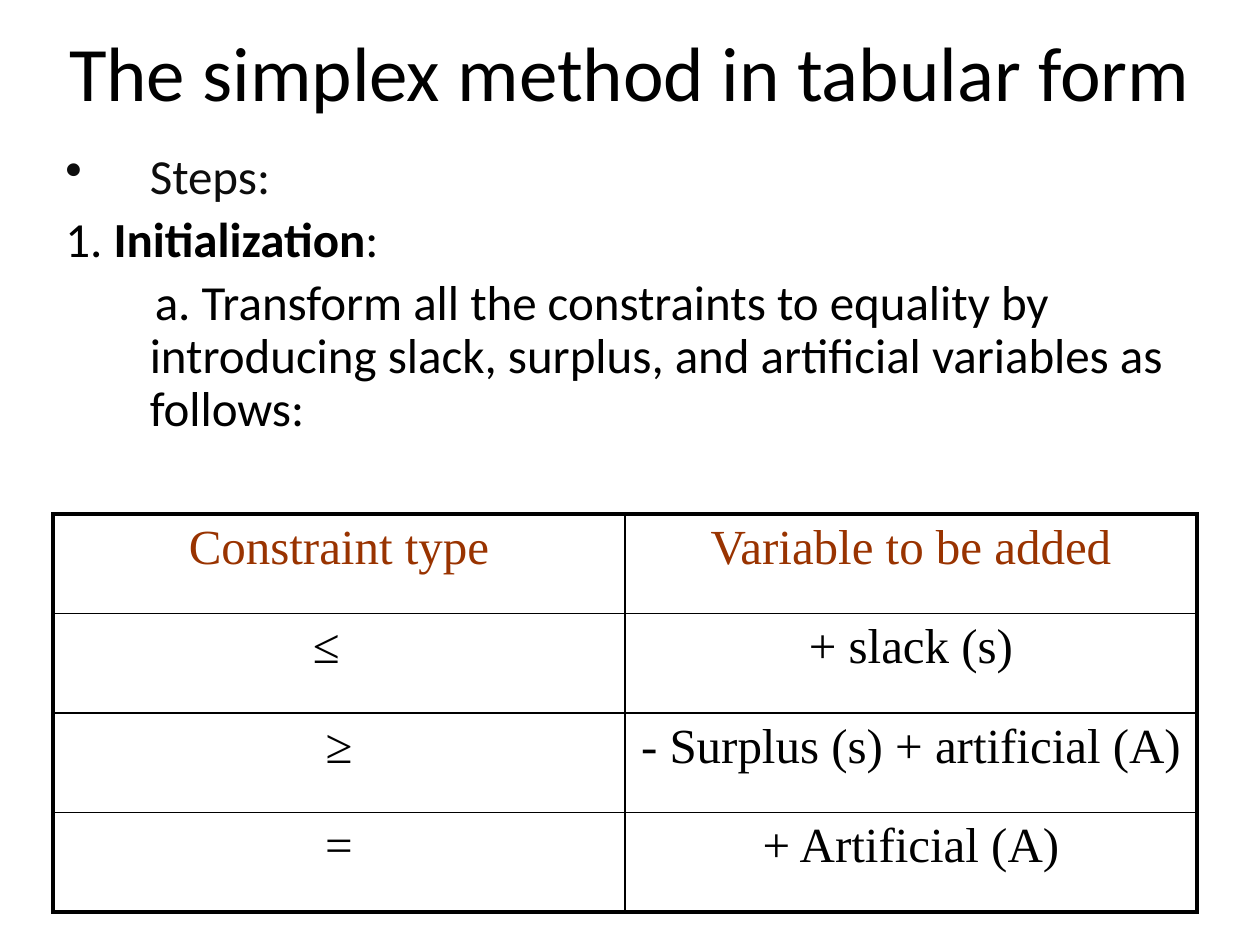
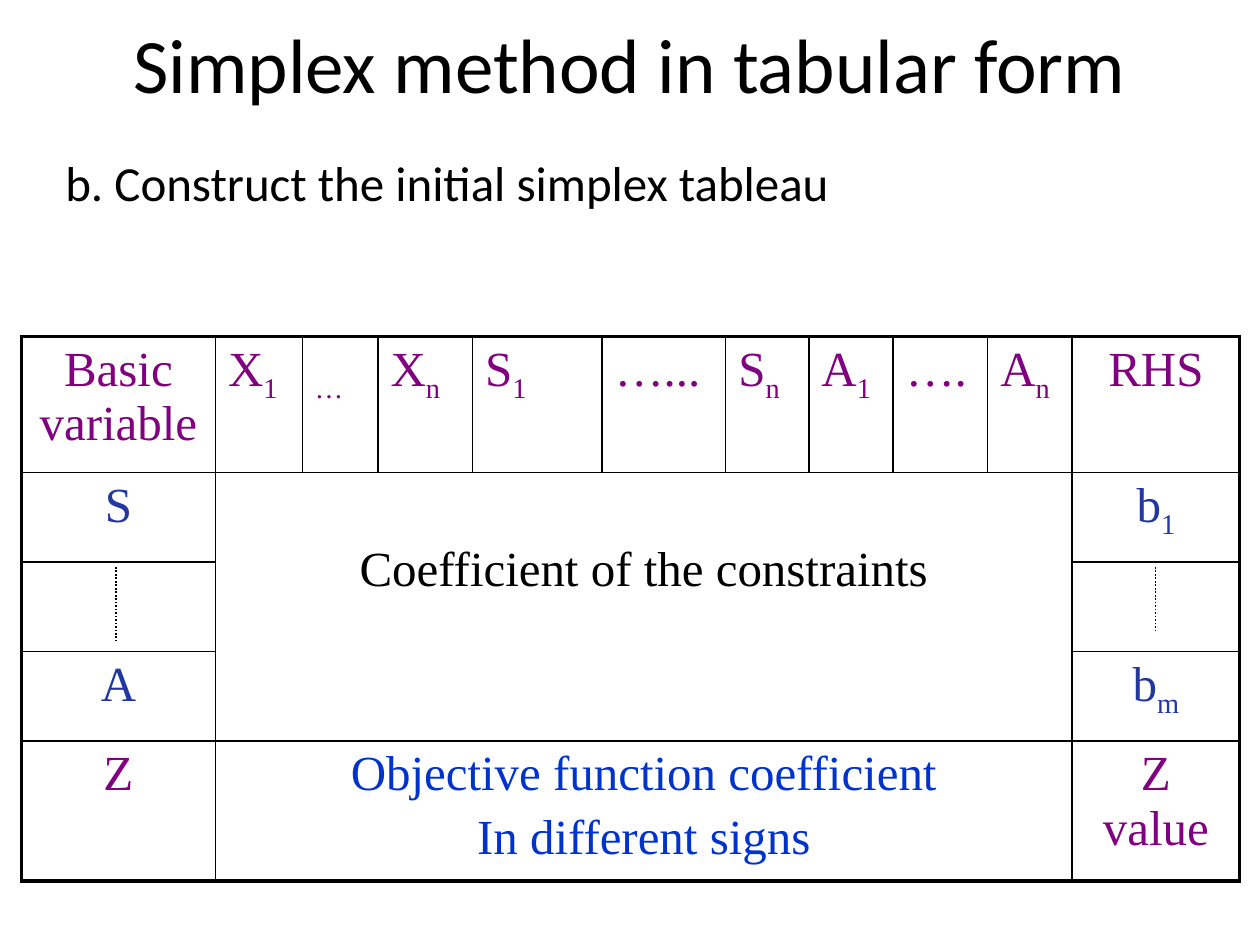
from lxml import etree
from pptx import Presentation
from pptx.dml.color import RGBColor
from pptx.enum.dml import MSO_LINE
from pptx.enum.shapes import MSO_CONNECTOR
from pptx.enum.text import MSO_ANCHOR, PP_ALIGN
from pptx.oxml.ns import qn
from pptx.util import Inches, Pt

LEFT, CENTER = PP_ALIGN.LEFT, PP_ALIGN.CENTER
MIDDLE = MSO_ANCHOR.MIDDLE
DOTTED = MSO_LINE.ROUND_DOT
STRAIGHT = MSO_CONNECTOR.STRAIGHT

COLORS = {"black": "000000", "soft": "0D0D0D", "rust": "993300",
          "purple": "800080", "navy": "2237A0", "blue": "0033CC"}
SANS, SERIF = "Calibri", "Times New Roman"
SIZE, GAP = 28, 5.6
THICK, THIN = 2.25, 1

# Content: "|" parts runs, "*" marks bold and "_" marks subscript
# Body lines: text, color, left margin, first indent, bullet
STEPS = [
    ("Steps:", "soft", 0.67, -0.67, "•"),
    ("1. |*Initialization|:", "black", 0.67, -0.67, None),
    ("a. Transform all the constraints to equality by introducing slack, "
     "surplus, and artificial variables as follows:", "black", 0.67, 0.04, None),
]
BUILD = [("b. Construct the initial simplex tableau", "black", 0.38, -0.38, None)]

TYPES = [("Constraint type", "Variable to be added"),
         ("≤", "+ slack (s)"),
         ("≥", "- Surplus (s) + artificial (A)"),
         ("=", "+ Artificial (A)")]

HEADS = ["Basic variable", "X|_1", "_…", "X|_n", "S|_1", "…...",
         "S|_n", "A|_1", "….", "A|_n", "RHS"]
BASIS = [("S", "b|_1"), ("", ""), ("A", "b|_m"), ("Z", "Z value")]
COEFFS = "Coefficient of the constraints"
GOAL = ["Objective function coefficient", "In different signs"]
WIDTHS = [1.54, 0.69, 0.6, 0.75, 1.03, 0.98, 0.66, 0.67, 0.75, 0.67, 1.33]
HEIGHTS = [1.08, 0.71, 0.71, 0.71, 1.03]
DOTS = [(0.92, 5.08), (9.17, 5)]  # x and end of each dotted line


def color(name):
    return RGBColor.from_string(COLORS[name])


def write(para, text, face, tint, size=SIZE):
    """Fill a paragraph with runs, honouring the marks."""
    for part in text.split("|"):
        run = para.add_run()
        run.text = part.lstrip("*_")
        font = run.font
        font.name, font.size = face, Pt(size)
        font.color.rgb = color(tint)
        font.bold = part.startswith("*")
        if part.startswith("_"):
            run._r.get_or_add_rPr().set("baseline", "-25000")


def lines(frame, count):
    """Yield the paragraphs of a frame, spaced apart."""
    for i in range(count):
        para = frame.add_paragraph() if i else frame.paragraphs[0]
        para.space_before = Pt(GAP if i else 0)
        yield para


def start(deck, title, top):
    slide = deck.slides.add_slide(deck.slide_layouts[5])
    head = slide.shapes.title
    head.left, head.top = Inches(0), Inches(top)
    head.width, head.height = Inches(10), Inches(1)
    frame = head.text_frame
    frame.vertical_anchor = MIDDLE
    frame.paragraphs[0].alignment = CENTER
    write(frame.paragraphs[0], title, SANS, "black", 44)
    return slide


def add_body(slide, items, width, height, pitch):
    box = slide.shapes.add_textbox(Inches(0.42), Inches(1.16),
                                   Inches(width), Inches(height))
    frame = box.text_frame
    frame.word_wrap = True
    for para, item in zip(lines(frame, len(items)), items):
        text, tint, left, first, bullet = item
        para.line_spacing = pitch
        write(para, text, SANS, tint)
        props = para._p.get_or_add_pPr()
        props.set("marL", str(Inches(left)))
        props.set("indent", str(Inches(first)))
        if bullet:
            etree.SubElement(props, qn("a:buChar"), char=bullet)


def add_grid(slide, left, top, widths, heights):
    table = slide.shapes.add_table(
        len(heights), len(widths), Inches(left), Inches(top),
        Inches(sum(widths)), Inches(sum(heights))).table
    table.first_row = table.horz_banding = False
    for col, width in zip(table.columns, widths):
        col.width = Inches(width)
    for row, height in zip(table.rows, heights):
        row.height = Inches(height)
    return table


def put(cell, texts, tint, align=CENTER):
    for para, text in zip(lines(cell.text_frame, len(texts)), texts):
        para.alignment = align
        write(para, text, SERIF, tint)


def edge(cell, side, width):
    line = etree.SubElement(cell._tc.get_or_add_tcPr(), qn("a:ln" + side),
                            w=str(Pt(width)))
    fill = etree.SubElement(line, qn("a:solidFill"))
    etree.SubElement(fill, qn("a:srgbClr"), val=COLORS["black"])


def frame_grid(table):
    """Thick outer frame, thin inner lines, no fill."""
    rows, cols = len(table.rows), len(table.columns)
    for r in range(rows):
        for c in range(cols):
            cell = table.cell(r, c)
            high, wide = ((cell.span_height, cell.span_width)
                          if cell.is_merge_origin else (1, 1))
            outer = {"L": c == 0, "R": c + wide == cols,
                     "T": r == 0, "B": r + high == rows}
            for side, thick in outer.items():
                if thick or not cell.is_spanned:
                    edge(cell, side, THICK if thick else THIN)
            cell.fill.background()


def add_types(slide):
    table = add_grid(slide, 0.42, 4.08, [4.54] * 2, [0.79] * 4)
    for r, row in enumerate(TYPES):
        for c, text in enumerate(row):
            put(table.cell(r, c), [text], "black" if r else "rust")
    table.cell(1, 0).margin_right = Inches(0.3)
    frame_grid(table)


def add_tableau(slide):
    table = add_grid(slide, 0.17, 2.67, WIDTHS, HEIGHTS)
    last = len(WIDTHS) - 1
    for c, text in enumerate(HEADS):
        put(table.cell(0, c), [text], "purple",
            CENTER if c in (0, last) else LEFT)
    for r, pair in enumerate(BASIS, 1):
        for c, text in zip((0, last), pair):
            if text:
                put(table.cell(r, c), [text],
                    "purple" if r == len(BASIS) else "navy")
    # Merged middle areas
    coeffs, goal = table.cell(1, 1), table.cell(4, 1)
    coeffs.merge(table.cell(3, last - 1))
    goal.merge(table.cell(4, last - 1))
    coeffs.margin_top = Inches(0.56)
    put(coeffs, [COEFFS], "black")
    put(goal, GOAL, "blue")
    frame_grid(table)


def add_dots(slide):
    for x, end in DOTS:
        line = slide.shapes.add_connector(STRAIGHT, Inches(x), Inches(4.5),
                                          Inches(x), Inches(end))
        line.line.color.rgb = color("black")
        line.line.width = Pt(THIN)
        line.line.dash_style = DOTTED
        etree.SubElement(line._element.spPr, qn("a:effectLst"))


def main():
    deck = Presentation()
    deck.slide_width, deck.slide_height = Inches(10), Inches(7.5)

    # Slide 1: constraint types
    slide = start(deck, "The simplex method in tabular form", 0.06)
    add_body(slide, STEPS, 9.25, 2.59, 0.9)
    add_types(slide)

    # Slide 2: initial tableau
    slide = start(deck, "Simplex method in tabular form", 0)
    add_body(slide, BUILD, 9.33, 0.68, 1.0)
    add_tableau(slide)
    add_dots(slide)

    deck.save("out.pptx")


if __name__ == "__main__":
    main()
